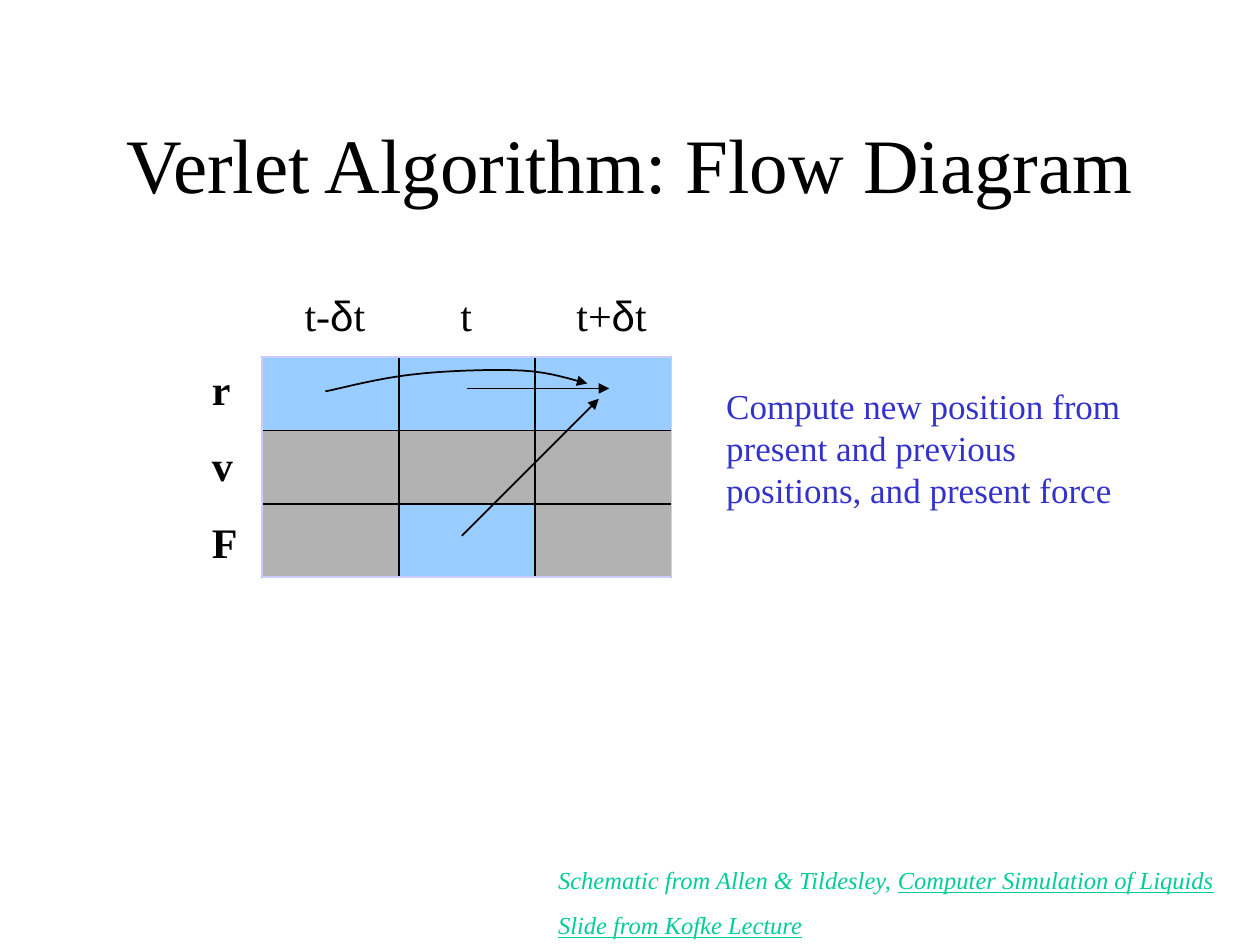
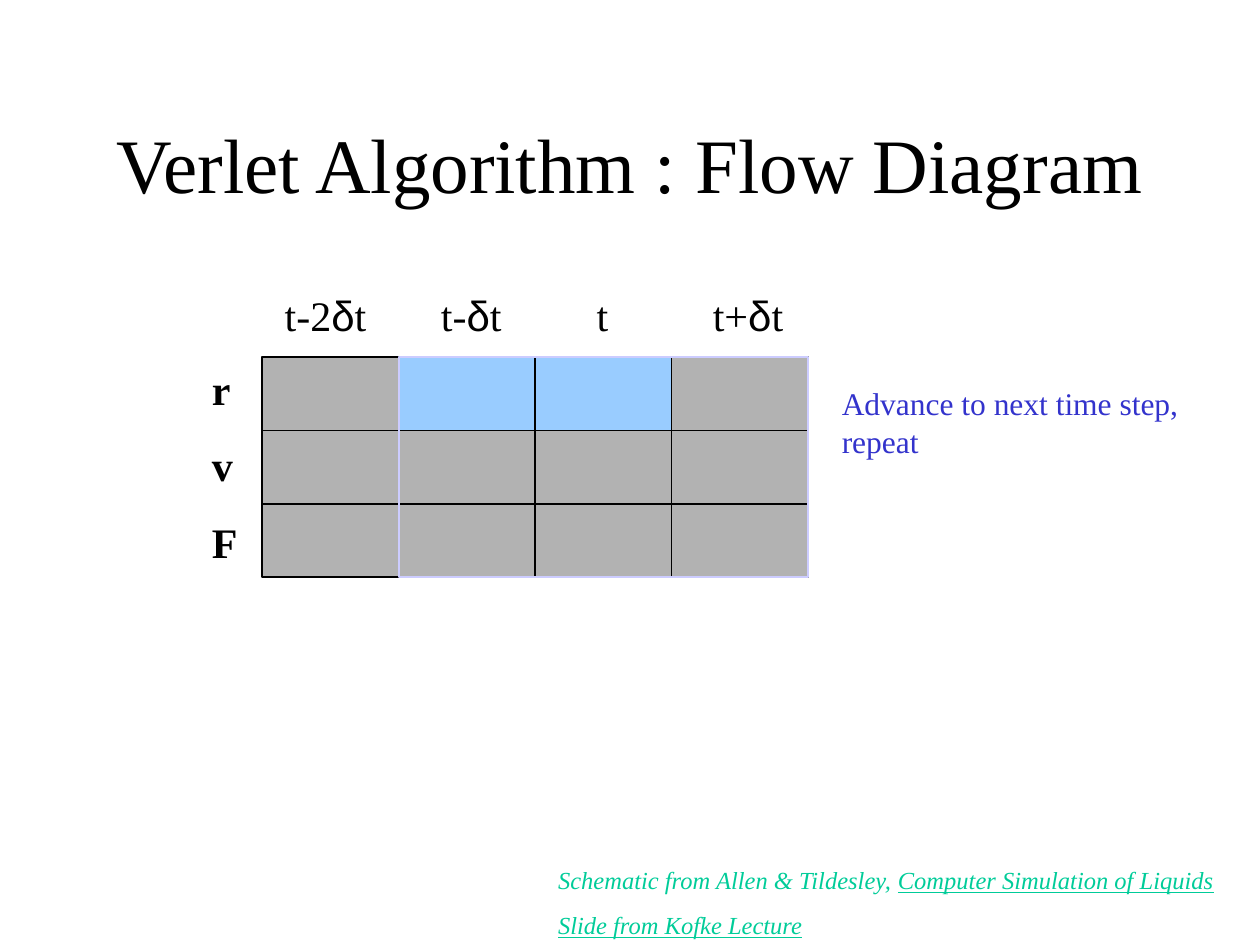
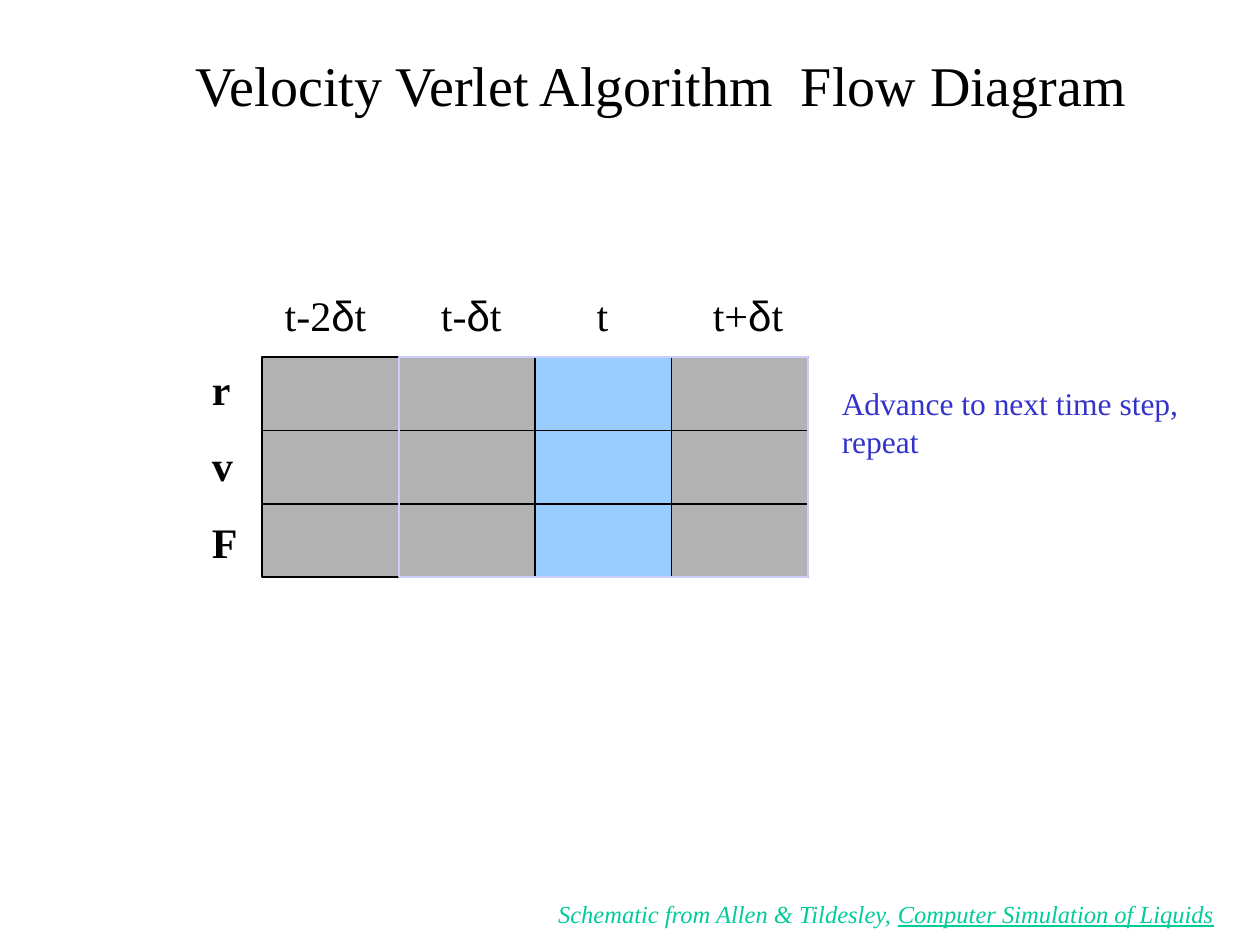
from itertools import product

from lxml import etree
from pptx import Presentation
from pptx import util as u
from pptx.dml.color import RGBColor
from pptx.enum import shapes, text
from pptx.oxml import ns

Cm, Pt = u.Cm, u.Pt
COLORS = {"ink": "000000", "known": "99CCFF", "empty": "B2B2B2",
          "frame": "CCCCFF", "note": "3333CC", "credit": "00CC99"}
FONT, GREEK = "Times New Roman", "Arial"
LEFT, TOP, COL, ROW = 5.29, 7.2, 2.75, 1.48
ROWS = ["r", "v", "F"]
INDENTS = {"t-2δt": 0.45, "t-δt": 0.85, "t": 1.24, "t+δt": 0.83}
STEPS = list(INDENTS)
SCHEMATIC = [("Schematic from Allen & Tildesley, ", False),
             ("Computer Simulation of Liquids", True)]
LECTURE = [("Slide from Kofke Lecture", True)]


def color(name):
    return RGBColor.from_string(COLORS[name])


def bezier(a, b, c, d, steps=8):
    for k in range(1, steps + 1):
        t = k / steps
        yield tuple((1 - t) ** 3 * p + 3 * (1 - t) ** 2 * t * q
                    + 3 * (1 - t) * t ** 2 * r + t ** 3 * s
                    for p, q, r, s in zip(a, b, c, d))


class Deck:
    def __init__(self):
        self.prs = Presentation()
        self.prs.slide_width, self.prs.slide_height = Cm(25.4), Cm(19.05)

    def new_slide(self):
        self.s = self.prs.slides.add_slide(self.prs.slide_layouts[6])

    def box(self, x, y, w, h):
        tf = self.s.shapes.add_textbox(Cm(x), Cm(y), Cm(w), Cm(h)).text_frame
        tf.word_wrap = True
        return tf

    def style(self, p, size, name="ink", face=FONT):
        p.font.size, p.font.name = Pt(size), face
        p.font.color.rgb = color(name)

    def paragraphs(self, tf, lines, size, name="ink", gap=0):
        for i, line in enumerate(lines):
            p = tf.paragraphs[0] if i == 0 else tf.add_paragraph()
            if i and gap:
                p.space_before = Pt(gap)
            self.style(p, size, name)
            for words, underlined in line:
                r = p.add_run()
                r.text = words
                if underlined:
                    r.font.underline = True
        return tf.paragraphs

    def title(self, words, x=1.91, y=1.7, h=3.18, size=44):
        tf = self.box(x, y, 21.59, h)
        tf.vertical_anchor = text.MSO_ANCHOR.MIDDLE
        p, = self.paragraphs(tf, [[(words, False)]], size)
        p.alignment = text.PP_ALIGN.CENTER

    def note(self, lines, x, size):
        tf = self.box(x, 7.62, 8.47, 1.8)
        self.paragraphs(tf, [[(line, False)] for line in lines], size, "note")

    def credit(self, lines, y):
        tf = self.box(11, y, 14.4, 0.85 * len(lines))
        for p in self.paragraphs(tf, lines, 14, "credit", 8.8):
            p.font.italic = True

    def row_labels(self):
        tf = self.box(4.02, TOP, 1.27, 4.37)
        for p in self.paragraphs(tf, [[(row, False)] for row in ROWS], 24, gap=15):
            p.font.bold = True

    def step_labels(self, steps):
        p = self.box(5.08, 5.72, 0.21 + COL * len(steps), 1.27).paragraphs[0]
        tabs = etree.SubElement(p._p.get_or_add_pPr(), ns.qn("a:tabLst"))
        for i, step in enumerate(steps):
            stop = Cm(i * COL + INDENTS[step] - 0.04)
            etree.SubElement(tabs, ns.qn("a:tab"), pos=str(stop), algn="l")
        self.style(p, 24)
        for step in steps:
            head, delta, rest = step.partition("δ")
            p.add_run().text = "\t" + head
            if delta:
                r = p.add_run()
                r.text, r.font.name = delta, GREEK
                p.add_run().text = rest

    def rect(self, x, y, w, h, line, fill=None):
        sp = self.s.shapes.add_shape(shapes.MSO_SHAPE.RECTANGLE,
                                     Cm(x), Cm(y), Cm(w), Cm(h))
        self.outline(sp, line)
        if fill:
            sp.fill.solid()
            sp.fill.fore_color.rgb = color(fill)
        else:
            sp.fill.background()

    def outline(self, sp, line="ink"):
        sp.shadow.inherit = False
        sp.line.color.rgb, sp.line.width = color(line), Pt(1)

    def grid(self, steps, known):
        self.row_labels()
        self.step_labels(steps)
        for (i, row), (j, step) in product(enumerate(ROWS), enumerate(steps)):
            fill = "known" if (row, step) in known else "empty"
            self.rect(LEFT + j * COL, TOP + i * ROW, COL, ROW, "ink", fill)

    def frame(self, first):
        self.rect(LEFT + first * COL, TOP, 3 * COL, 3 * ROW, "frame")

    def arrowhead(self, sp):
        etree.SubElement(sp.line._get_or_add_ln(), ns.qn("a:tailEnd"), type="triangle")

    def arrow(self, x1, y1, x2, y2):
        c = self.s.shapes.add_connector(shapes.MSO_CONNECTOR.STRAIGHT,
                                        Cm(x1), Cm(y1), Cm(x2), Cm(y2))
        c.line.color.rgb, c.line.width = color("ink"), Pt(1)
        self.arrowhead(c)
        etree.SubElement(c._element.spPr, ns.qn("a:effectLst"))

    def curved_arrow(self, nodes):
        points = [p for i in range(0, len(nodes) - 1, 3)
                  for p in bezier(*nodes[i:i + 4])]
        fb = self.s.shapes.build_freeform(*map(Cm, nodes[0]))
        fb.add_line_segments([(Cm(x), Cm(y)) for x, y in points], close=False)
        sp = fb.convert_to_shape()
        sp.fill.background()
        self.outline(sp)
        self.arrowhead(sp)


def main():
    deck = Deck()

    deck.new_slide()
    deck.title("Verlet Algorithm: Flow Diagram")
    deck.grid(STEPS[1:], [("r", step) for step in STEPS[1:]] + [("F", "t")])
    deck.note(["Compute new position from present and previous positions, "
               "and present force"], 14.39, 20)
    deck.arrow(9.42, 7.83, 12.28, 7.83)
    deck.arrow(9.31, 10.8, 12.07, 8.04)
    deck.curved_arrow([(6.56, 7.89), (6.86, 7.83), (7.65, 7.62), (8.31, 7.55),
                       (8.97, 7.47), (9.94, 7.44), (10.53, 7.47),
                       (11.12, 7.5), (11.58, 7.67), (11.84, 7.73)])
    deck.frame(0)
    deck.credit([SCHEMATIC, LECTURE], 17.32)

    follow_ups = [
        (dict(words="Verlet Algorithm : Flow Diagram"),
         [("r", "t-δt"), ("r", "t")], [SCHEMATIC, LECTURE], 17.32),
        (dict(words="Velocity Verlet Algorithm  Flow Diagram",
              x=2.54, y=0.64, h=2.12, size=32),
         [(row, "t") for row in ROWS], [SCHEMATIC], 17.99)]
    for heading, known, credit, credit_top in follow_ups:
        deck.new_slide()
        deck.title(**heading)
        deck.grid(STEPS, known)
        deck.note(["Advance to next time step,", "repeat"], 16.72, 18)
        deck.frame(1)
        deck.credit(credit, credit_top)

    deck.prs.save("out.pptx")


if __name__ == "__main__":
    main()
